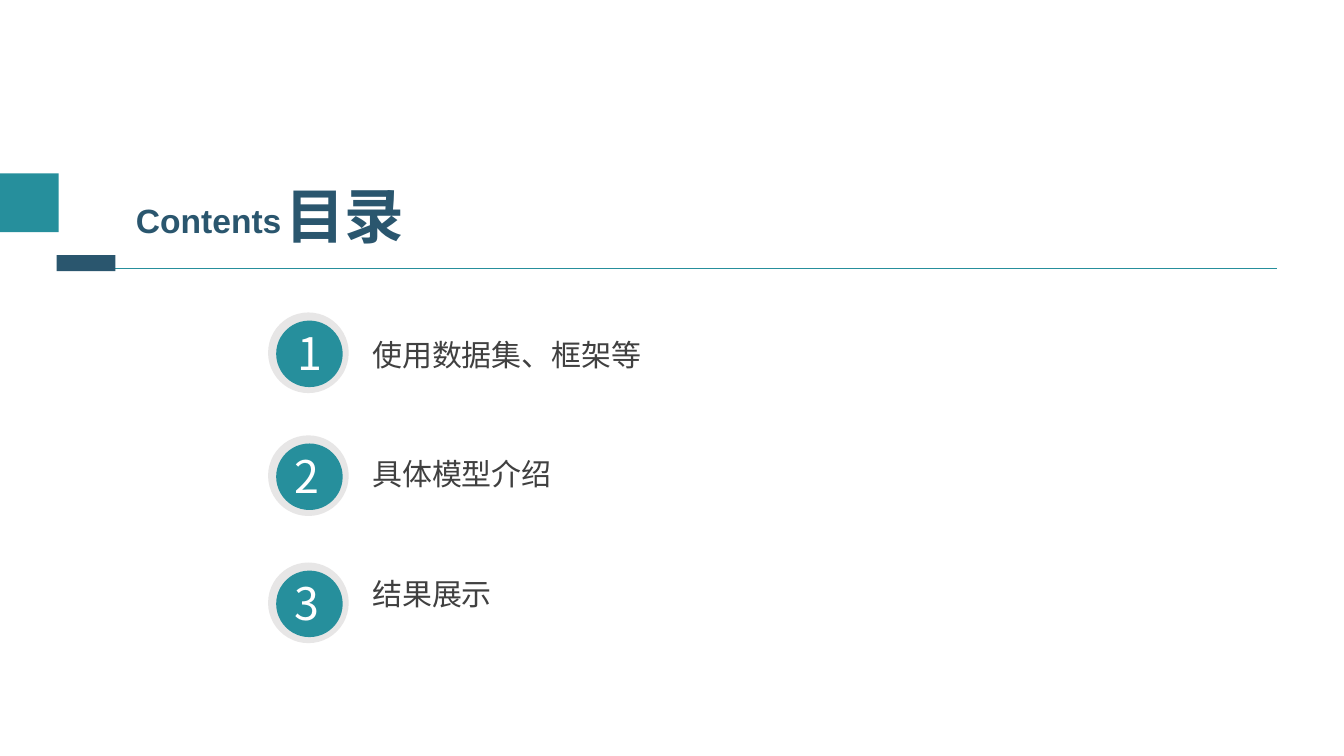
from lxml.etree import SubElement
from pptx import Presentation
from pptx.dml.color import RGBColor
from pptx.enum.shapes import MSO_CONNECTOR as Connector, MSO_SHAPE as Preset
from pptx.enum.text import MSO_ANCHOR as Anchor, MSO_AUTO_SIZE as AutoSize, PP_ALIGN as Align
from pptx.oxml.ns import qn
from pptx.util import Pt

TEAL = RGBColor(0x26, 0x8F, 0x9C)
NAVY = RGBColor(0x2A, 0x56, 0x6E)
RING_GREY = RGBColor(0xE7, 0xE6, 0xE6)
TEXT_GREY = RGBColor(0x40, 0x40, 0x40)
WHITE = RGBColor(0xFF, 0xFF, 0xFF)
CJK_FONT = "Noto Sans CJK SC"

TITLE_FORMAT = {"size": Pt(42.6), "bold": True, "name": CJK_FONT}
SUBTITLE_FORMAT = {"size": Pt(24), "bold": True, "name": "Arial"}
NUMBER_FORMAT = {"size": Pt(32), "bold": False, "name": CJK_FONT}
TOPIC_FORMAT = {"size": Pt(21.4), "bold": False, "name": CJK_FONT}

TOPICS = ["使用数据集、框架等", "具体模型介绍", "结果展示"]
# Top of each badge, and left edge of its number
BADGES = [(223.2, 205.2), (311, 203), (401.8, 203)]


def place(shape, left, top, width, height):
    shape.left, shape.top = Pt(left), Pt(top)
    shape.width, shape.height = Pt(width), Pt(height)


def write(shape, lines, formats, color, gap=0):
    """Fill a text shape with left-aligned, unbulleted lines."""
    frame = shape.text_frame
    frame.word_wrap = True
    frame.auto_size = AutoSize.NONE
    frame.vertical_anchor = Anchor.MIDDLE
    for index, line in enumerate(lines):
        para = frame.add_paragraph() if index else frame.paragraphs[0]
        properties = para._p.get_or_add_pPr()
        properties.set("marL", "0")
        properties.set("indent", "0")
        SubElement(properties, qn("a:buNone"))
        para.alignment = Align.LEFT
        para.space_before = Pt(gap if index else 0)
        span = para.add_run()
        span.text = line
        for name, value in formats.items():
            setattr(span.font, name, value)
        span.font.color.rgb = color
        east_asian = SubElement(span._r.get_or_add_rPr(), qn("a:ea"))
        east_asian.set("typeface", formats["name"])


def add_text(page, text, left, top, width, height, formats, color):
    box = page.shapes.add_textbox(Pt(left), Pt(top), Pt(width), Pt(height))
    write(box, [text], formats, color)


def add_solid(page, preset, left, top, width, height, color):
    shape = page.shapes.add_shape(preset, Pt(left), Pt(top), Pt(width), Pt(height))
    shape.shadow.inherit = False
    shape.fill.solid()
    shape.fill.fore_color.rgb = color
    shape.line.fill.background()


def add_rule(page, left, right, top):
    rule = page.shapes.add_connector(Connector.STRAIGHT, Pt(left), Pt(top), Pt(right), Pt(top))
    rule.line.color.rgb = TEAL
    rule.line.width = Pt(0.75)
    SubElement(rule._element.spPr, qn("a:effectLst"))


def add_badge(page, number, top, number_left):
    add_solid(page, Preset.OVAL, 191.5, top, 57.6, 57.6, RING_GREY)
    add_solid(page, Preset.OVAL, 197.3, top + 5.8, 47.5, 47.5, TEAL)
    add_text(page, str(number), number_left, top + 5.5, 34.6, 46, NUMBER_FORMAT, WHITE)


def main():
    deck = Presentation()
    deck.slide_width, deck.slide_height = Pt(960), Pt(540)
    page = deck.slides.add_slide(deck.slide_layouts[1])
    title, topics = page.placeholders

    add_rule(page, 42.5, 912.2, 191.5)
    add_solid(page, Preset.RECTANGLE, 0, 123.8, 42, 42, TEAL)
    add_solid(page, Preset.RECTANGLE, 40.5, 182.2, 42, 11.5, NAVY)

    place(title, 196.6, 124, 123, 59)
    write(title, ["目录"], TITLE_FORMAT, NAVY)
    add_text(page, "Contents", 90, 139, 148.3, 36, SUBTITLE_FORMAT, NAVY)

    for number, (top, number_left) in enumerate(BADGES, 1):
        add_badge(page, number, top, number_left)
    place(topics, 258.7, 228.5, 215, 220)
    write(topics, TOPICS, TOPIC_FORMAT, TEXT_GREY, gap=59.7)

    deck.save("out.pptx")


if __name__ == "__main__":
    main()
